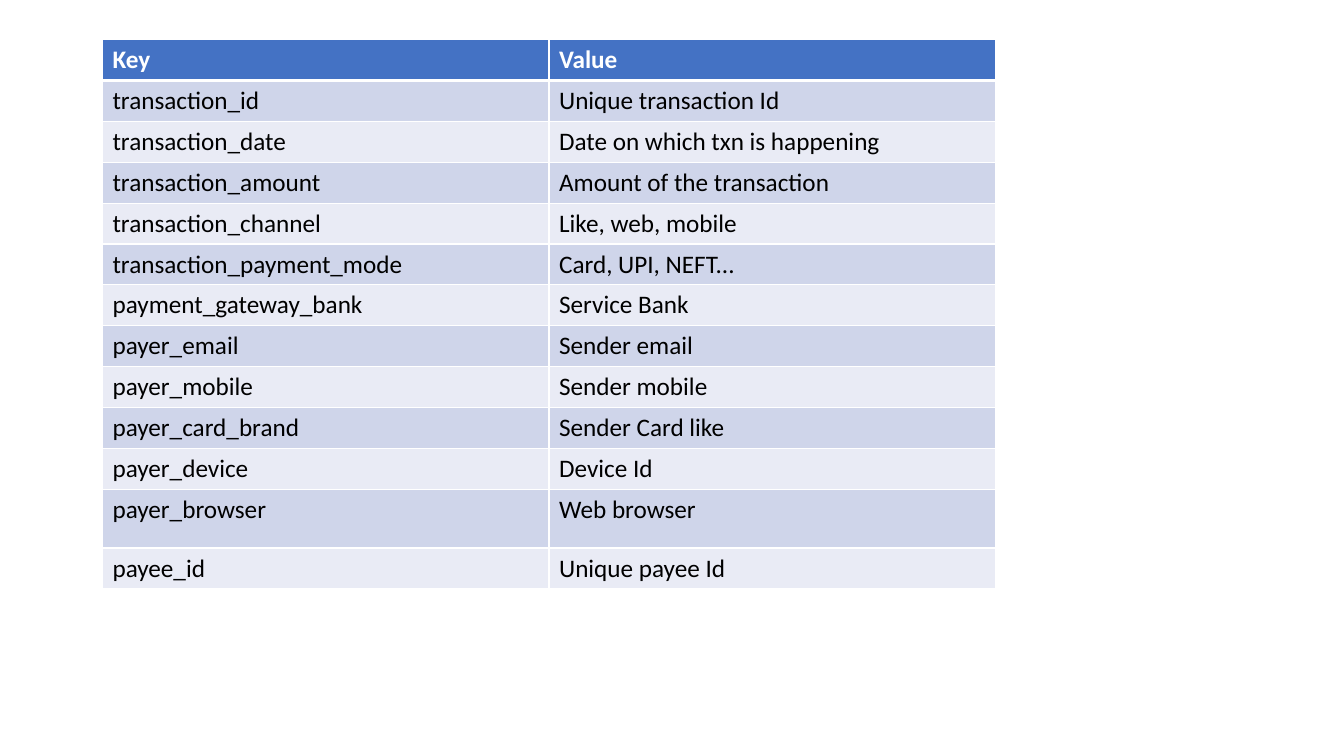
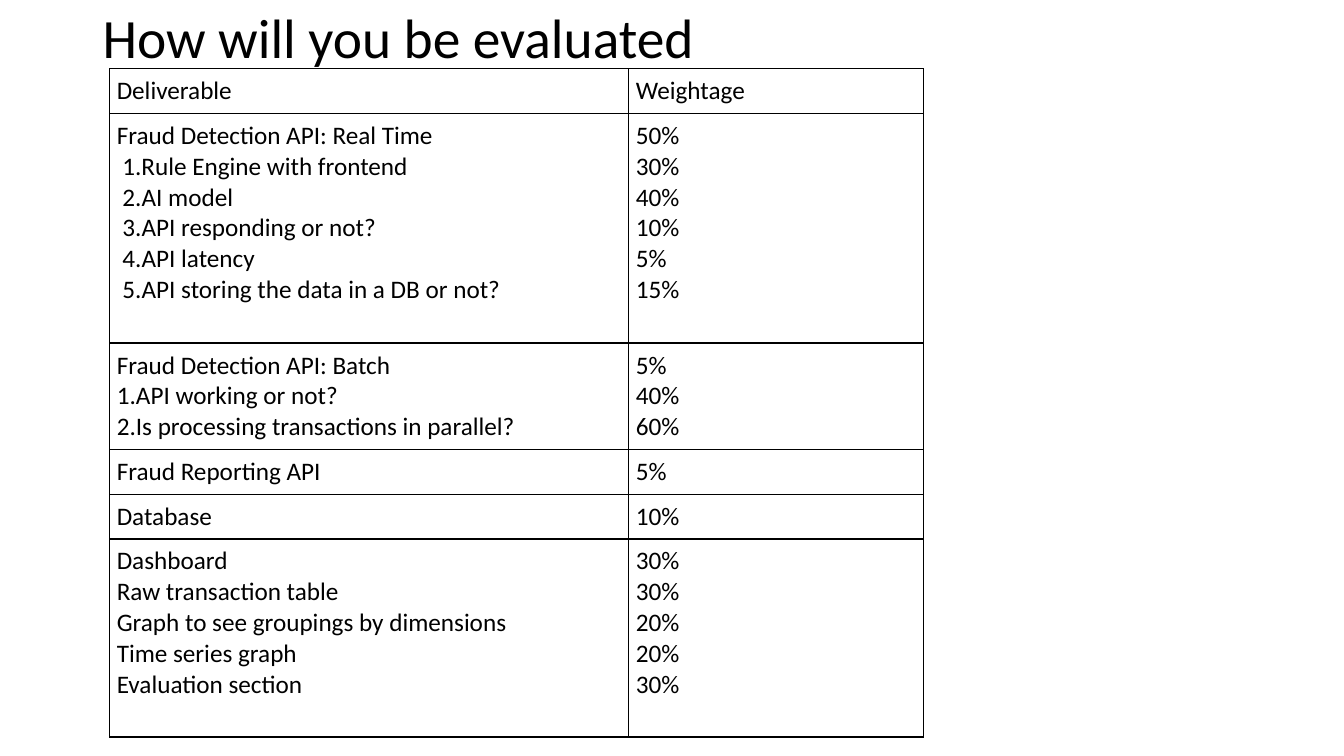
"""Build two slides: transaction fields and evaluation weightage."""
import dataclasses

import lxml.etree
import pptx
import pptx.dml.color
import pptx.enum.text
import pptx.oxml.ns
import pptx.presentation
import pptx.slide
import pptx.table
import pptx.text.text
import pptx.util

WHITE, BLACK = "FFFFFF", "000000"
HEADER_FILL = "4472C4"
BAND_FILLS = ("CFD5EA", "E9EBF5")
PLAIN_STYLE = "{2D5ABB26-0587-4C30-8999-92F81FD0307C}"
EDGES = ("L", "R", "T", "B")
BODY_FONT = {"name": "Calibri", "size": pptx.util.Pt(18), "bold": False}
HEADER_FONT = {**BODY_FONT, "bold": True}
TITLE_FONT = {**BODY_FONT, "size": pptx.util.Pt(39.6)}
BANDED_MARGINS = {"margin_left": 7.2, "margin_right": 7.2, "margin_top": 3.6, "margin_bottom": 3.6}
GRID_MARGINS = dict.fromkeys(BANDED_MARGINS, 5)


@dataclasses.dataclass(frozen=True)
class Line:
    text: str
    indent: float = 0


@dataclasses.dataclass(frozen=True)
class Row:
    left: tuple[Line, ...]
    right: tuple[Line, ...]
    height: float


@dataclasses.dataclass(frozen=True)
class CellStyle:
    text_color: str
    border_color: str
    font: dict
    margins: dict
    fill: str | None = None
    top_width: float = 1
    bottom_width: float = 1


@dataclasses.dataclass(frozen=True)
class TableBox:
    left: float
    top: float
    widths: tuple[float, float]


def lines(*texts: str) -> tuple[Line, ...]:
    return tuple(Line(text) for text in texts)


FIELD_ROW_HEIGHT = 29.2
FIELDS = (
    ("Key", "Value"),
    ("transaction_id", "Unique transaction Id"),
    ("transaction_date", "Date on which txn is happening"),
    ("transaction_amount", "Amount of the transaction"),
    ("transaction_channel", "Like, web, mobile"),
    ("transaction_payment_mode", "Card, UPI, NEFT..."),
    ("payment_gateway_bank", "Service Bank"),
    ("payer_email", "Sender email"),
    ("payer_mobile", "Sender mobile"),
    ("payer_card_brand", "Sender Card like"),
    ("payer_device", "Device Id"),
    ("payer_browser", "Web browser"),
    ("payee_id", "Unique payee Id"),
)
TALL_FIELDS = {"payer_browser": 42}

REAL_TIME_CHECKS = (
    "1.Rule Engine with frontend",
    "2.AI model",
    "3.API responding or not?",
    "4.API latency",
    "5.API storing the data in a DB or not?",
)
EVALUATION = (
    Row(lines("Deliverable"), lines("Weightage"), 32),
    Row(
        lines("Fraud Detection API: Real Time") + tuple(Line(text, 4) for text in REAL_TIME_CHECKS),
        lines("50%", "30%", "40%", "10%", "5%", "15%"),
        164,
    ),
    Row(
        lines("Fraud Detection API: Batch", "1.API working or not?",
              "2.Is processing transactions in parallel?"),
        lines("5%", "40%", "60%"),
        76,
    ),
    Row(lines("Fraud Reporting API"), lines("5%"), 32),
    Row(lines("Database"), lines("10%"), 32),
    Row(
        lines("Dashboard", "Raw transaction table", "Graph to see groupings by dimensions",
              "Time series graph", "Evaluation section"),
        lines("30%", "30%", "20%", "20%", "30%"),
        141.5,
    ),
)


def color(value: str) -> pptx.dml.color.RGBColor:
    return pptx.dml.color.RGBColor.from_string(value)


def set_attributes(target: object, values: dict) -> None:
    for name, value in values.items():
        setattr(target, name, value)


def write_lines(frame: pptx.text.text.TextFrame, content: tuple[Line, ...],
                font: dict, text_color: str) -> None:
    for index, line in enumerate(content):
        paragraph = frame.add_paragraph() if index else frame.paragraphs[0]
        if line.indent:
            properties = paragraph._p.get_or_add_pPr()
            properties.set("marL", str(pptx.util.Pt(line.indent)))
            properties.set("indent", "0")
        run = paragraph.add_run()
        run.text = line.text
        set_attributes(run.font, font)
        run.font.color.rgb = color(text_color)


def draw_borders(cell: pptx.table._Cell, style: CellStyle) -> None:
    qualify = pptx.oxml.ns.qn
    widths = {"T": style.top_width, "B": style.bottom_width}
    for edge in EDGES:
        border = lxml.etree.SubElement(cell._tc.get_or_add_tcPr(), qualify(f"a:ln{edge}"))
        border.set("w", str(pptx.util.Pt(widths.get(edge, 1))))
        fill = lxml.etree.SubElement(border, qualify("a:solidFill"))
        lxml.etree.SubElement(fill, qualify("a:srgbClr")).set("val", style.border_color)


def draw_cell(cell: pptx.table._Cell, content: tuple[Line, ...], style: CellStyle) -> None:
    draw_borders(cell, style)
    if style.fill:
        cell.fill.solid()
        cell.fill.fore_color.rgb = color(style.fill)
    else:
        cell.fill.background()
    set_attributes(cell, {name: pptx.util.Pt(size) for name, size in style.margins.items()})
    write_lines(cell.text_frame, content, style.font, style.text_color)


def draw_table(slide: pptx.slide.Slide, box: TableBox, rows: tuple[Row, ...],
               styles: tuple[CellStyle, ...]) -> None:
    shape = slide.shapes.add_table(
        len(rows), len(box.widths), pptx.util.Pt(box.left), pptx.util.Pt(box.top),
        pptx.util.Pt(sum(box.widths)), pptx.util.Pt(sum(row.height for row in rows)))
    table = shape.table
    set_attributes(table, {"first_row": styles[0].font["bold"], "horz_banding": False})
    for style_id in shape.element.iter(pptx.oxml.ns.qn("a:tableStyleId")):
        style_id.text = PLAIN_STYLE
    for column, width in zip(table.columns, box.widths):
        column.width = pptx.util.Pt(width)
    for index, (row, style) in enumerate(zip(rows, styles)):
        table.rows[index].height = pptx.util.Pt(row.height)
        for position, content in enumerate((row.left, row.right)):
            draw_cell(table.cell(index, position), content, style)


def draw_title(slide: pptx.slide.Slide, text: str) -> None:
    shape = slide.shapes.add_textbox(
        pptx.util.Pt(66.2), pptx.util.Pt(7.5), pptx.util.Pt(591), pptx.util.Pt(43.5))
    frame = shape.text_frame
    set_attributes(frame, {
        "word_wrap": True, "margin_top": 0, "margin_bottom": 0,
        "vertical_anchor": pptx.enum.text.MSO_ANCHOR.TOP,
    })
    write_lines(frame, lines(text), TITLE_FONT, BLACK)
    frame.paragraphs[0].line_spacing = 0.9


def add_blank_slide(presentation: pptx.presentation.Presentation) -> pptx.slide.Slide:
    return presentation.slides.add_slide(presentation.slide_layouts[6])


def draw_fields(slide: pptx.slide.Slide) -> None:
    rows = tuple(
        Row(lines(key), lines(value), TALL_FIELDS.get(key, FIELD_ROW_HEIGHT))
        for key, value in FIELDS)
    header = CellStyle(WHITE, WHITE, HEADER_FONT, BANDED_MARGINS, HEADER_FILL, bottom_width=3)
    bands = tuple(
        CellStyle(BLACK, WHITE, BODY_FONT, BANDED_MARGINS, BAND_FILLS[index % 2],
                  top_width=1 if index else 3)
        for index in range(len(rows) - 1))
    draw_table(slide, TableBox(73.2, 28.3, (319, 319)), rows, (header, *bands))


def draw_evaluation(slide: pptx.slide.Slide) -> None:
    draw_title(slide, "How will you be evaluated")
    grid = CellStyle(BLACK, BLACK, BODY_FONT, GRID_MARGINS)
    draw_table(slide, TableBox(78.4, 49.1, (370.8, 210.2)), EVALUATION, (grid,) * len(EVALUATION))


def main() -> None:
    presentation = pptx.Presentation()
    presentation.slide_width = pptx.util.Pt(960)
    presentation.slide_height = pptx.util.Pt(540)
    for draw in (draw_fields, draw_evaluation):
        draw(add_blank_slide(presentation))
    presentation.save("out.pptx")


if __name__ == "__main__":
    main()
